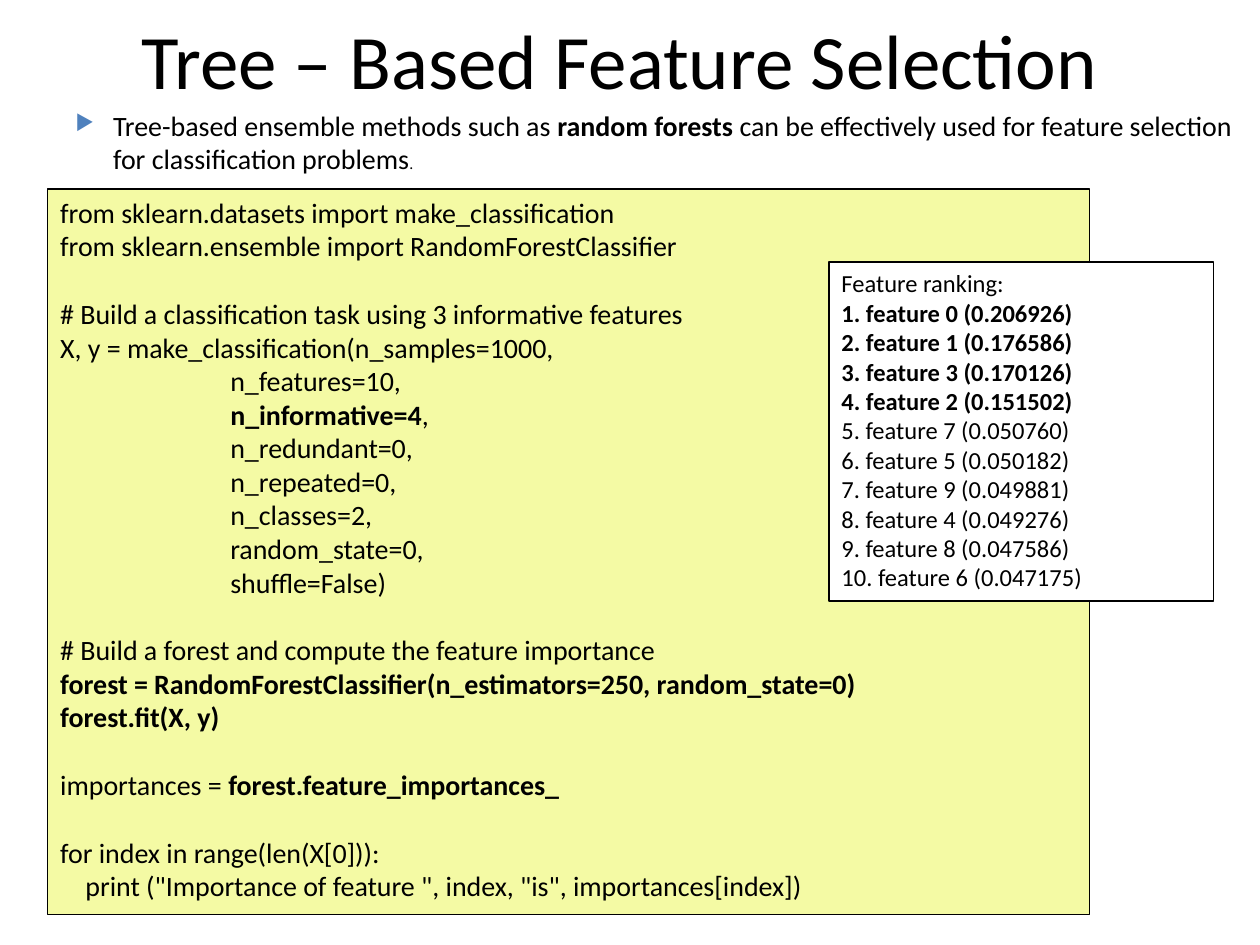
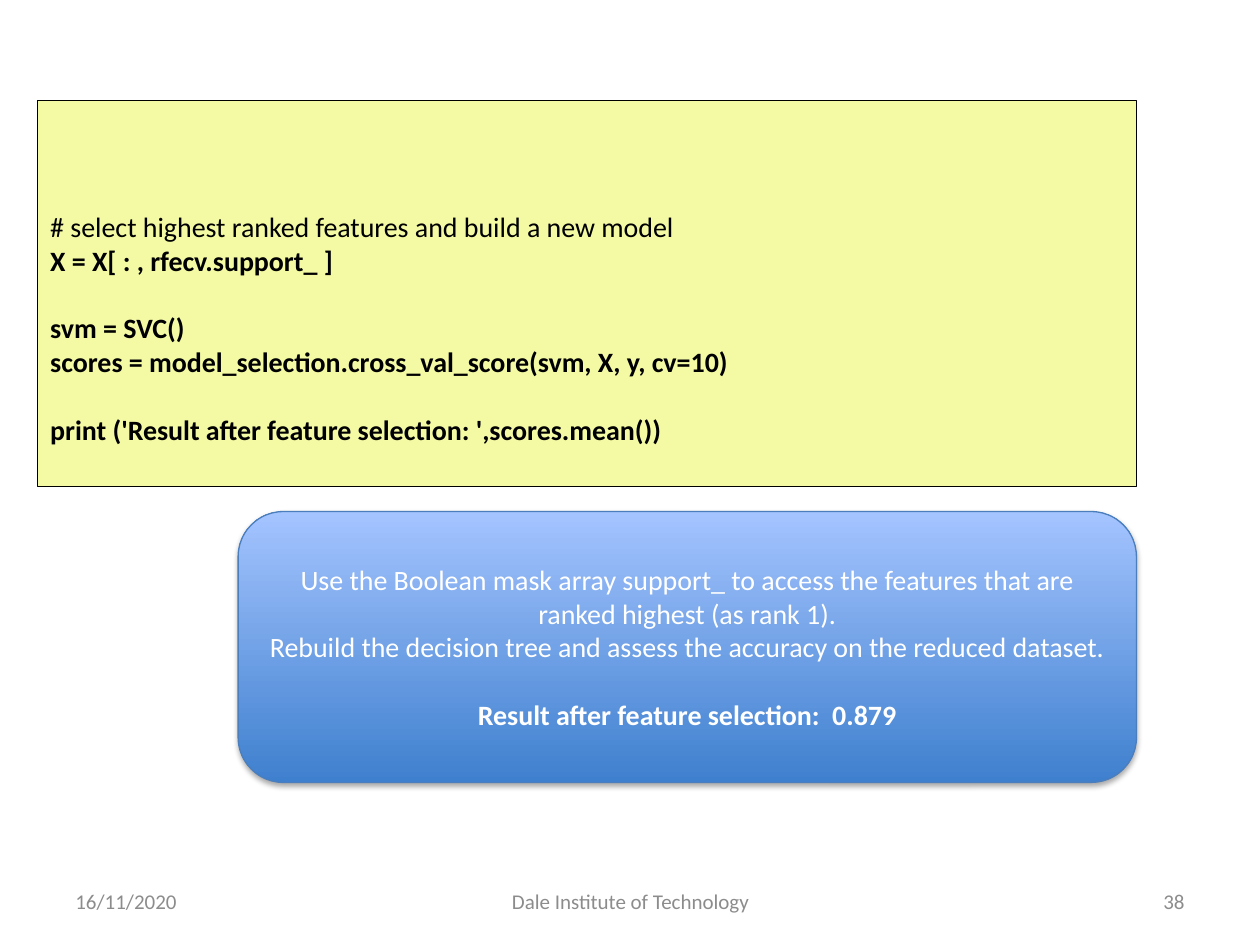
from pptx import Presentation
from pptx.util import Inches, Pt
from pptx.dml.color import RGBColor
from pptx.enum.shapes import MSO_SHAPE
from pptx.enum.text import MSO_ANCHOR, PP_ALIGN
from pptx.oxml import parse_xml
from pptx.oxml.ns import nsdecls, qn

W, H = 10, 7.5
FONT = "Calibri"
BLACK, WHITE, GREY = "000000", "FFFFFF", "8C8C8C"
CODE, BLUE = "F4FAA4", "4F81BD"
LINE = 1.22
LEFT, MID, RIGHT = PP_ALIGN.LEFT, PP_ALIGN.CENTER, PP_ALIGN.RIGHT

# "|" switches bold on and off; "" opens a one-line gap
TITLE = "Tree – Based Feature Selection"
INTRO = [("Tree-based ensemble methods such as |random forests| can be effectively "
          "used for feature selection for classification problems", 16), (".", 9)]
ARGS = ["n_features=10,", "|n_informative=4|,", "n_redundant=0,", "n_repeated=0,",
        "n_classes=2,", "random_state=0,", "shuffle=False)"]
FOREST = [
    "from sklearn.datasets import make_classification",
    "from sklearn.ensemble import RandomForestClassifier",
    "",
    "# Build a classification task using 3 informative features",
    "X, y = make_classification(n_samples=1000,",
    *[(1.35, arg) for arg in ARGS],
    "",
    "# Build a forest and compute the feature importance",
    "|forest = RandomForestClassifier(n_estimators=250, random_state=0)",
    "|forest.fit(X, y)",
    "",
    "importances = |forest.feature_importances_",
    "",
    "for index in range(len(X[0])):",
    (0.2, 'print ("Importance of feature ", index, "is", importances[index])'),
]
RANKS = [(0, "0.206926"), (1, "0.176586"), (3, "0.170126"), (2, "0.151502"),
         (7, "0.050760"), (5, "0.050182"), (9, "0.049881"), (4, "0.049276"),
         (8, "0.047586"), (6, "0.047175")]
BEST = 4
MODEL = [
    "# select highest ranked features and build a new model",
    "|X = X[ : , rfecv.support_ ]",
    "",
    "|svm = SVC()",
    "|scores = model_selection.cross_val_score(svm, X, y, cv=10)",
    "",
    "|print ('Result after feature selection: ',scores.mean())",
]
NOTE = [
    "Use the Boolean mask array support_ to access the features that are "
    "ranked highest (as rank 1).",
    "Rebuild the decision tree and assess the accuracy on the reduced dataset.",
    "",
    "|Result after feature selection:  0.879",
]
FOOT = [("16/11/2020", 0.05, 0.233, LEFT),
        ("Dale Institute of Technology", 0.342, 0.317, MID),
        ("38", 0.717, 0.233, RIGHT)]


def rgb(hue):
    return RGBColor.from_string(hue)


def place(box):
    return [Inches(n) for n in box]


def add_runs(par, text, size, hue):
    for i, part in enumerate(text.split("|")):
        if part:
            run = par.add_run()
            run.text = part
            font = run.font
            font.name, font.size, font.bold = FONT, Pt(size), i % 2 == 1
            font.color.rgb = rgb(hue)


def write(frame, rows, size, hue=BLACK, align=LEFT, anchor=MSO_ANCHOR.TOP):
    frame.word_wrap = True
    frame.vertical_anchor = anchor
    par, gap = None, 0
    for row in rows:
        if row == "":
            gap += size * LINE
            continue
        dent, text = row if isinstance(row, tuple) else (0, row)
        par = frame.add_paragraph() if par else frame.paragraphs[0]
        par.alignment = align
        if gap:
            par.space_before = Pt(round(gap, 1))
        if dent:
            par._p.get_or_add_pPr().set("marL", str(Inches(dent)))
        add_runs(par, text, size, hue)
        gap = 0


def add_box(slide, box, line, kind=MSO_SHAPE.RECTANGLE):
    shape = slide.shapes.add_shape(kind, *place(box))
    shape.shadow.inherit = False
    shape.line.color.rgb = rgb(line)
    shape.line.width = Pt(0.75)
    return shape


def add_panel(slide, box, fill, rows, size):
    shape = add_box(slide, box, BLACK)
    shape.fill.solid()
    shape.fill.fore_color.rgb = rgb(fill)
    write(shape.text_frame, rows, size)
    return shape


def add_title(slide, text):
    head = slide.shapes.title
    head.left, head.top, head.width, head.height = place((0.42, -0.16, 0.9 * W, 1.25))
    write(head.text_frame, [text], 44, align=MID, anchor=MSO_ANCHOR.MIDDLE)


def add_intro(slide):
    box = slide.shapes.add_textbox(*place((0.5, 0.81, 0.95 * W, 0.69)))
    box.text_frame.word_wrap = True
    par = box.text_frame.paragraphs[0]
    props = par._p.get_or_add_pPr()
    props.set("marL", str(Inches(0.3)))
    props.set("indent", str(-Inches(0.3)))
    for tag in (f'<a:buClr {nsdecls("a")}><a:srgbClr val="{BLUE}"/></a:buClr>',
                f'<a:buSzPct {nsdecls("a")} val="76000"/>',
                f'<a:buChar {nsdecls("a")} char="▶"/>'):
        props.append(parse_xml(tag))
    for text, size in INTRO:
        add_runs(par, text, size, BLACK)


def add_note(slide, box):
    note = add_box(slide, box, "4B7EBC", MSO_SHAPE.ROUNDED_RECTANGLE)
    note.fill.gradient()
    note.fill.gradient_angle = 90
    for stop, hue, pos in zip(note.fill.gradient_stops, ("3F80CE", "A4C4FF"), (0, 1)):
        stop.color.rgb = rgb(hue)
        stop.position = pos
    note._element.spPr.find(qn("a:effectLst")).append(parse_xml(
        f'<a:outerShdw {nsdecls("a")} blurRad="{Pt(3.1)}" dist="{Pt(1.8)}" '
        f'dir="5400000" rotWithShape="0"><a:srgbClr val="{BLACK}">'
        '<a:alpha val="35000"/></a:srgbClr></a:outerShdw>'))
    write(note.text_frame, NOTE, 16, WHITE, MID, MSO_ANCHOR.MIDDLE)


def add_foot(slide):
    for text, left, width, align in FOOT:
        box = slide.shapes.add_textbox(*place((left * W, 6.95, width * W, 0.4)))
        write(box.text_frame, [text], 12, GREY, align, MSO_ANCHOR.MIDDLE)


def main():
    deck = Presentation()
    deck.slide_width, deck.slide_height = place((W, H))

    trees = deck.slides.add_slide(deck.slide_layouts[5])
    add_title(trees, TITLE)
    add_intro(trees)
    add_panel(trees, (0.38, 1.5, 8.27, 5.76), CODE, FOREST, 16)
    ranks = ["Feature ranking:"]
    for i, (name, score) in enumerate(RANKS, 1):
        mark = "|" if i <= BEST else ""
        ranks.append(f"{mark}{i}. feature {name} ({score})")
    add_panel(trees, (6.58, 2.08, 3.05, 2.69), WHITE, ranks, 14)

    model = deck.slides.add_slide(deck.slide_layouts[6])
    add_foot(model)
    panel = add_panel(model, (0.3, 0.8, 8.72, 3.06), CODE, MODEL, 16)
    panel.text_frame.margin_top = Inches(0.05) + Pt(3 * 16 * LINE)
    add_note(model, (1.89, 4.06, 7.13, 2.15))

    deck.save("out.pptx")


if __name__ == "__main__":
    main()
